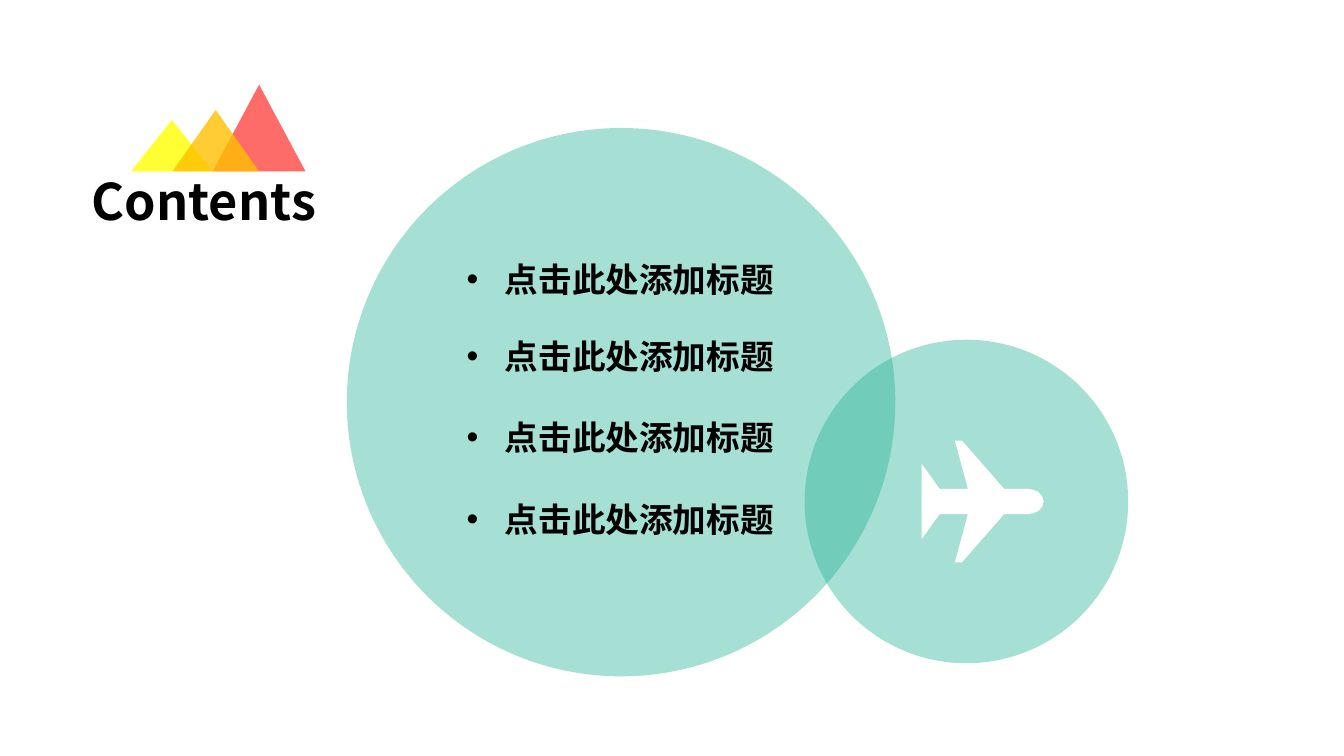
from pptx import Presentation
from pptx.dml.color import RGBColor
from pptx.enum.shapes import MSO_SHAPE as Shape
from pptx.enum.text import MSO_ANCHOR as Anchor
from pptx.oxml.ns import qn
from pptx.util import Pt
from lxml.etree import SubElement

PX = 9144
FONT = "Noto Sans CJK SC"
BLACK = RGBColor(0x00, 0x00, 0x00)
WHITE = RGBColor(0xFF, 0xFF, 0xFF)
TEAL = RGBColor(0x22, 0xB0, 0x95)
RED = RGBColor(0xFE, 0x48, 0x44)
YELLOW = RGBColor(0xFF, 0xFF, 0x00)
AMBER = RGBColor(0xFF, 0xC0, 0x00)

PLANE_TOP = [(914, 460), (932, 485), (960, 485), (947, 437), (954, 437), (996, 485),
             (1020, 485), (1025, 486), (1030, 488), (1034, 493), (1035, 497)]
PLANE_TOP_PLUS_BOTTOM = 995


def paint(shape, color, opacity=100):
    shape.shadow.inherit = False
    shape.fill.solid()
    shape.fill.fore_color.rgb = color
    shape.line.fill.background()
    if opacity < 100:
        color_node = shape.fill._xPr.find(qn("a:solidFill"))[0]
        SubElement(color_node, qn("a:alpha"), val=str(opacity * 1000))


def add_figure(page, kind, bounds, color, opacity):
    shape = page.shapes.add_shape(kind, *(value * PX for value in bounds))
    paint(shape, color, opacity)


def add_bullet(para):
    properties = para._p.get_or_add_pPr()
    properties.set("marL", str(38 * PX))
    properties.set("indent", str(-38 * PX))
    SubElement(properties, qn("a:buFont"), typeface="Arial")
    SubElement(properties, qn("a:buChar"), char="•")


def add_label(page, bounds, text, size, bulleted=False):
    box = page.shapes.add_textbox(*(value * PX for value in bounds))
    frame = box.text_frame
    frame.word_wrap = True
    frame.vertical_anchor = Anchor.BOTTOM
    frame.margin_top = 0
    frame.margin_bottom = 2 * PX
    frame.text = text
    para = frame.paragraphs[0]
    if bulleted:
        add_bullet(para)
    for span in para.runs:
        span.font.name = FONT
        span.font.size = Pt(size)
        span.font.bold = True
        span.font.color.rgb = BLACK
        SubElement(span.font._element, qn("a:ea"), typeface=FONT)


def add_plane(page):
    mirrored = [(x, PLANE_TOP_PLUS_BOTTOM - y) for x, y in reversed(PLANE_TOP)]
    outline = PLANE_TOP + mirrored
    builder = page.shapes.build_freeform(*outline[0], scale=PX)
    builder.add_line_segments(outline[1:], close=True)
    paint(builder.convert_to_shape(), WHITE)


def main():
    deck = Presentation()
    deck.slide_width = 1333 * PX
    deck.slide_height = 750 * PX
    page = deck.slides.add_slide(deck.slide_layouts[6])
    add_figure(page, Shape.OVAL, (344, 127, 544, 544), TEAL, 40)
    add_figure(page, Shape.OVAL, (798, 337, 321, 321), TEAL, 40)
    add_figure(page, Shape.ISOSCELES_TRIANGLE, (211, 84, 92, 86), RED, 80)
    add_label(page, (81, 160, 352, 71), "Contents", 36)
    add_figure(page, Shape.ISOSCELES_TRIANGLE, (130, 119, 81, 51), YELLOW, 80)
    add_figure(page, Shape.ISOSCELES_TRIANGLE, (171, 109, 86, 61), AMBER, 80)
    for top in (249, 325, 406, 487):
        add_label(page, (453, top, 327, 50), "点击此处添加标题", 24, bulleted=True)
    add_plane(page)
    deck.save("out.pptx")


if __name__ == "__main__":
    main()
